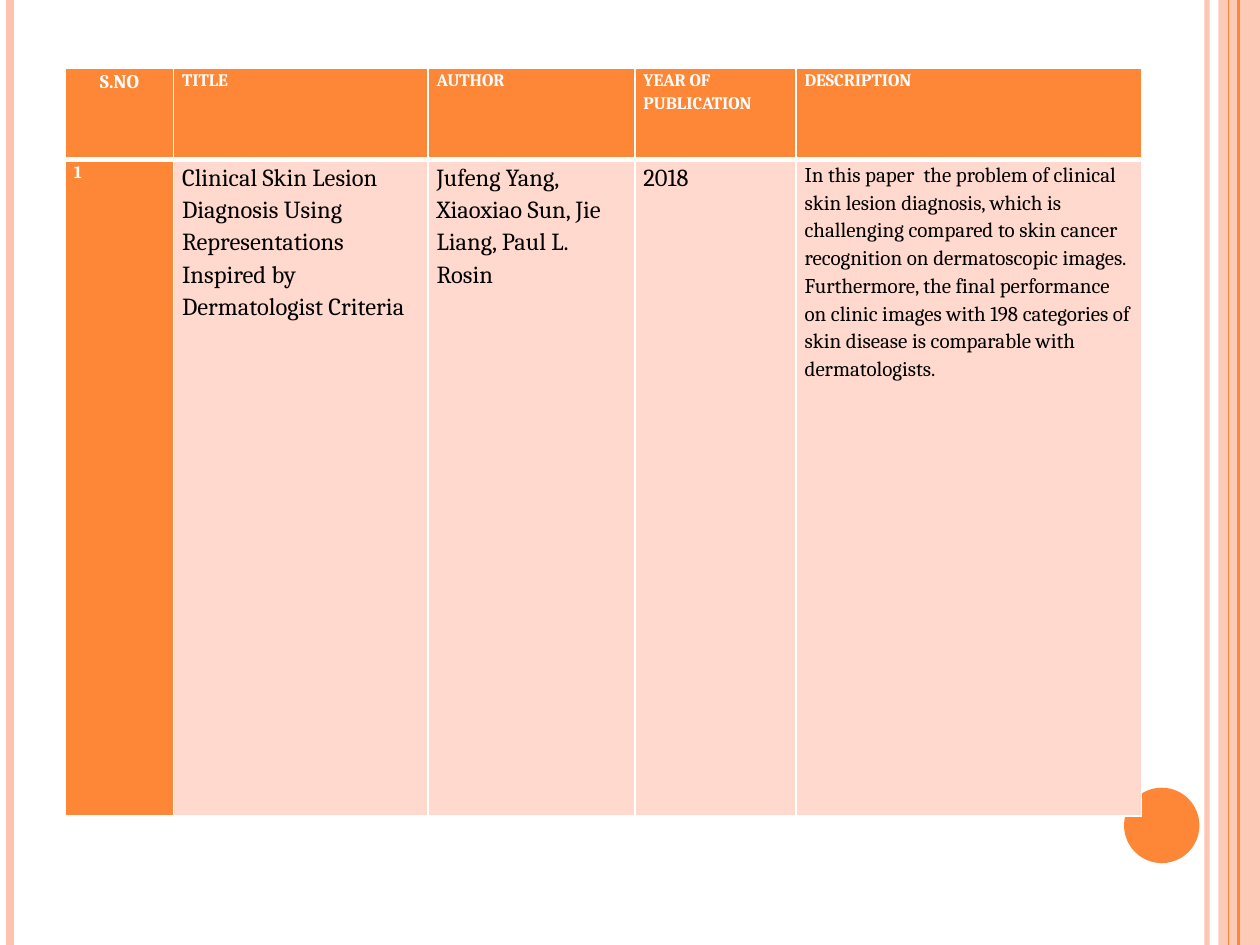
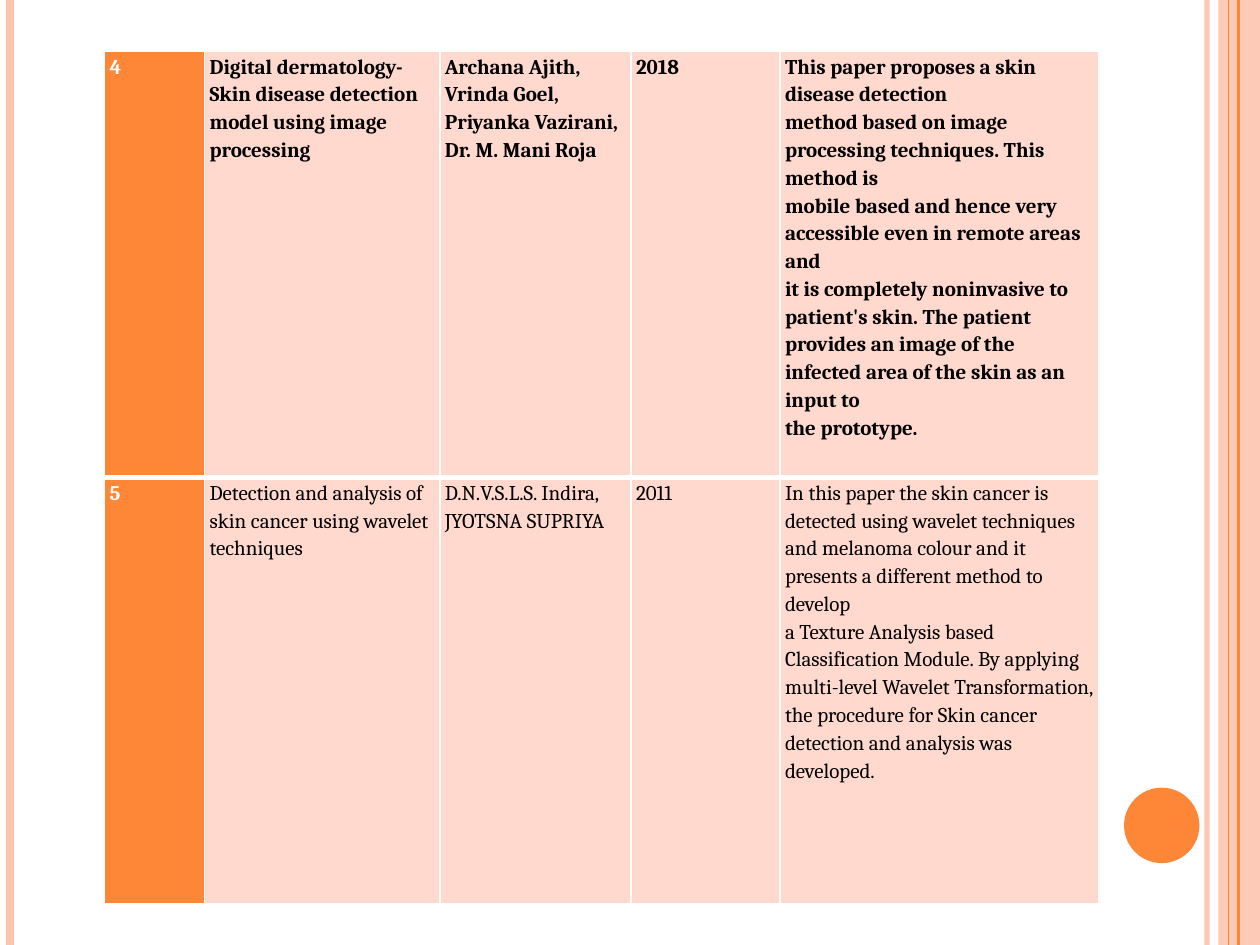
from dataclasses import dataclass

from lxml.etree import SubElement
from pptx import Presentation
from pptx.dml.color import RGBColor
from pptx.enum.shapes import MSO_CONNECTOR, MSO_SHAPE
from pptx.enum.text import PP_ALIGN
from pptx.oxml.ns import qn
from pptx.util import Cm, Pt


@dataclass(frozen=True)
class Theme:
    font: str = "Cambria"
    accent: RGBColor = RGBColor.from_string("FE8637")
    band: RGBColor = RGBColor.from_string("FEC3AE")
    cell: RGBColor = RGBColor.from_string("FFD9CE")
    white: RGBColor = RGBColor.from_string("FFFFFF")
    black: RGBColor = RGBColor.from_string("000000")
    small: int = 10
    label: int = 11
    body: int = 12
    large: int = 14
    spacing: float = 1.15
    thin: int = 1
    thick: int = 3


theme = Theme()


def write(tf, text, size=theme.body, color=theme.black, bold=False, align=PP_ALIGN.LEFT):
    for i, line in enumerate(text.split("\n")):
        p = tf.paragraphs[0] if i == 0 else tf.add_paragraph()
        p.alignment = align
        p.line_spacing = theme.spacing
        r = p.add_run()
        r.text = line
        r.font.name = theme.font
        r.font.size = Pt(size)
        r.font.bold = bold
        r.font.color.rgb = color


def set_alpha(sp, percent):
    color = sp._element.spPr.find(".//" + qn("a:srgbClr"))
    SubElement(color, qn("a:alpha")).set("val", str(percent * 1000))


plain = {}
bold = {"bold": True}
large = {"size": theme.large}
heading = {"size": theme.small, "color": theme.white, "bold": True}
number = {"color": theme.white, "bold": True}

papers_first = [
    [
        ("S.NO", {**heading, "size": theme.label, "align": PP_ALIGN.CENTER}),
        ("TITLE", heading),
        ("AUTHOR", heading),
        ("YEAR OF PUBLICATION", heading),
        ("DESCRIPTION", heading),
    ],
    [
        ("1", heading),
        ("Clinical Skin Lesion Diagnosis Using Representations Inspired by "
         "Dermatologist Criteria", large),
        ("Jufeng Yang, Xiaoxiao Sun, Jie Liang, Paul L. Rosin", large),
        ("2018", large),
        ("In this paper  the problem of clinical skin lesion diagnosis, which is "
         "challenging compared to skin cancer recognition on dermatoscopic images. "
         "Furthermore, the final performance on clinic images with 198 categories of "
         "skin disease is comparable with dermatologists.", plain),
    ],
]
papers_last = [
    [
        ("4", number),
        ("Digital dermatology-Skin disease detection model using image processing", bold),
        ("Archana Ajith, Vrinda Goel, Priyanka Vazirani, Dr. M. Mani Roja", bold),
        ("2018", bold),
        ("This paper proposes a skin disease detection\n"
         "method based on image processing techniques. This method is\n"
         "mobile based and hence very accessible even in remote areas and\n"
         "it is completely noninvasive to patient's skin. The patient\n"
         "provides an image of the infected area of the skin as an input to\n"
         "the prototype.", bold),
    ],
    [
        ("5", number),
        ("Detection and analysis of skin cancer using wavelet techniques", plain),
        ("D.N.V.S.L.S. Indira, JYOTSNA SUPRIYA", plain),
        ("2011", plain),
        ("In this paper the skin cancer is detected using wavelet techniques and "
         "melanoma colour and it presents a different method to develop\n"
         "a Texture Analysis based Classification Module. By applying multi-level "
         "Wavelet Transformation, the procedure for Skin cancer detection and analysis "
         "was developed.", plain),
    ],
]

tables = [
    (papers_first, 1.32, 1.37, 21.69, [1.85, 13.23], 0.17, True),
    (papers_last, 2.11, 1.04, 20.05, [8.59, 8.59], 0.1, False),
]
column_weights = [2.18, 5.13, 4.17, 3.25, 6.96]
outer_lines = [
    (24.33, theme.band, 3, 93),
    (0.2, theme.band, 4.5, 100),
    (24.97, theme.accent, 1.5, 100),
]
inner_line = (24.77, theme.accent, 0.75, 100)

prs = Presentation()
prs.slide_width = Cm(25.4)
prs.slide_height = Cm(19.05)

for rows, left, top, width, heights, inset, has_header in tables:
    s = prs.slides.add_slide(prs.slide_layouts[6])

    sp = s.shapes.add_shape(MSO_SHAPE.RECTANGLE, Cm(24.56), 0, Cm(0.84), prs.slide_height)
    sp.shadow.inherit = False
    sp.fill.solid()
    sp.fill.fore_color.rgb = theme.band
    sp.line.fill.background()
    set_alpha(sp, 87)

    for x, color, weight, alpha in [*outer_lines, inner_line]:
        sp = s.shapes.add_connector(MSO_CONNECTOR.STRAIGHT, Cm(x), 0, Cm(x), prs.slide_height)
        sp.line.color.rgb = color
        sp.line.width = Pt(weight)
        SubElement(sp._element.spPr, qn("a:effectLst"))
        if alpha < 100:
            set_alpha(sp, alpha)

    sp = s.shapes.add_shape(MSO_SHAPE.OVAL, Cm(22.66), Cm(15.88), Cm(1.52), Cm(1.52))
    sp.shadow.inherit = False
    sp.fill.solid()
    sp.fill.fore_color.rgb = theme.accent
    sp.line.fill.background()

    table = s.shapes.add_table(
        len(rows), len(column_weights), Cm(left), Cm(top), Cm(width), Cm(sum(heights))
    ).table
    table.first_row = has_header
    table.horz_banding = False
    for column, weight in zip(table.columns, column_weights):
        column.width = Cm(width * weight / sum(column_weights))

    for i, (row, height) in enumerate(zip(rows, heights)):
        table.rows[i].height = Cm(height)
        for j, (text, style) in enumerate(row):
            cell = table.cell(i, j)
            cell.margin_left = cell.margin_right = Cm(inset)
            cell.margin_top = cell.margin_bottom = 0
            thick_side = "lnB" if i == 0 else "lnT"
            for side in ("lnL", "lnR", "lnT", "lnB"):
                weight = theme.thick if side == thick_side else theme.thin
                ln = SubElement(cell._tc.get_or_add_tcPr(), qn(f"a:{side}"), w=str(Pt(weight)))
                fill = SubElement(ln, qn("a:solidFill"))
                SubElement(fill, qn("a:srgbClr"), val=str(theme.white))
            cell.fill.solid()
            is_label = j == 0 or (has_header and i == 0)
            cell.fill.fore_color.rgb = theme.accent if is_label else theme.cell
            write(cell.text_frame, text, **style)

prs.save("out.pptx")
